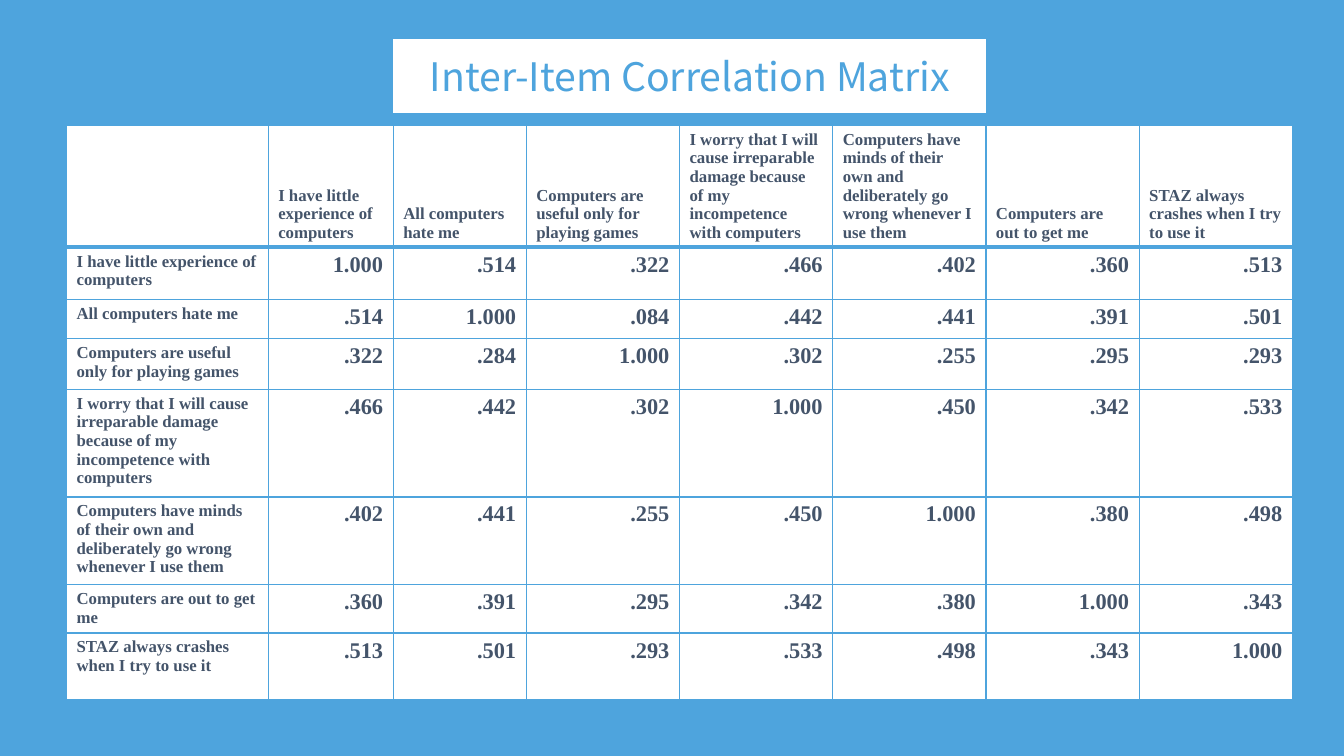
from lxml import etree
from pptx import Presentation, util as u
from pptx.dml.color import RGBColor
from pptx.enum import shapes, text
from pptx.oxml.ns import qn

BLUE = RGBColor(0x4E, 0xA4, 0xDD)
WHITE = RGBColor(0xFF, 0xFF, 0xFF)
SLATE = RGBColor(0x44, 0x54, 0x6A)
GREY = RGBColor(0xE8, 0xEA, 0xE9)

ITEMS = [
    "I have little experience of computers",
    "All computers hate me",
    "Computers are useful only for playing games",
    "I worry that I will cause irreparable damage because of my incompetence with computers",
    "Computers have minds of their own and deliberately go wrong whenever I use them",
    "Computers are out to get me",
    "STAZ always crashes when I try to use it",
]
CORRELATIONS = [
    "1.000 .514 .322 .466 .402 .360 .513",
    ".514 1.000 .084 .442 .441 .391 .501",
    ".322 .284 1.000 .302 .255 .295 .293",
    ".466 .442 .302 1.000 .450 .342 .533",
    ".402 .441 .255 .450 1.000 .380 .498",
    ".360 .391 .295 .342 .380 1.000 .343",
    ".513 .501 .293 .533 .498 .343 1.000",
]
COLS = [2, 1.24, 1.32] + [1.52] * 5
ROWS = [0.97, 0.52, 0.39, 0.5, 1.07, 0.87, 0.48, 0.66]


def set_border(cell, side, points):
    ln = etree.SubElement(cell._tc.get_or_add_tcPr(), qn("a:ln" + side), w=str(u.Pt(points)))
    fill = etree.SubElement(ln, qn("a:solidFill"))
    etree.SubElement(fill, qn("a:srgbClr"), val=str(BLUE))


prs = Presentation()
prs.slide_width, prs.slide_height = u.Inches(13.33), u.Inches(7.5)
s = prs.slides.add_slide(prs.slide_layouts[5])
s.background.fill.solid()
s.background.fill.fore_color.rgb = GREY

# Blue backdrop, behind everything
backdrop = s.shapes.add_shape(shapes.MSO_SHAPE.RECTANGLE, 0, 0, prs.slide_width, prs.slide_height)
backdrop.shadow.inherit = False
backdrop.fill.solid()
backdrop.fill.fore_color.rgb = BLUE
backdrop.line.fill.background()
title = s.shapes.title
title.element.addprevious(backdrop.element)

# Title
title.left, title.top, title.width, title.height = map(u.Inches, (3.89, 0.38, 5.9, 0.75))
title.fill.solid()
title.fill.fore_color.rgb = WHITE
title.line.color.rgb = BLUE
title.line.width = u.Pt(1.5)
tf = title.text_frame
tf.text = "Inter-Item Correlation Matrix"
tf.vertical_anchor = text.MSO_ANCHOR.MIDDLE
p = tf.paragraphs[0]
p.alignment = text.PP_ALIGN.CENTER
p.font.name, p.font.size = "Noto Sans CJK SC", u.Pt(28)
p.font.color.rgb = BLUE

# Correlation table
frame = s.shapes.add_table(len(ROWS), len(COLS), u.Inches(0.66), u.Inches(1.24),
                           u.Inches(sum(COLS)), u.Inches(sum(ROWS)))
table = frame.table
for column, width in zip(table.columns, COLS):
    column.width = u.Inches(width)
for row, height in zip(table.rows, ROWS):
    row.height = u.Inches(height)

grid = [[""] + ITEMS]
grid += [[item] + values.split() for item, values in zip(ITEMS, CORRELATIONS)]
for i, line in enumerate(grid):
    for j, entry in enumerate(line):
        cell = table.cell(i, j)
        is_value = i > 0 and j > 0
        for side in "LRTB":
            under_header = (i, side) in ((0, "B"), (1, "T"))
            set_border(cell, side, 3 if under_header else 1)
        cell.fill.solid()
        cell.fill.fore_color.rgb = WHITE
        cell.vertical_anchor = text.MSO_ANCHOR.BOTTOM if i == 0 else text.MSO_ANCHOR.TOP
        cell.text = entry
        p = cell.text_frame.paragraphs[0]
        p.alignment = text.PP_ALIGN.RIGHT if is_value else text.PP_ALIGN.LEFT
        p.font.name, p.font.bold = "Times New Roman", True
        p.font.size = u.Pt(16 if is_value else 12)
        p.font.color.rgb = SLATE

prs.save("out.pptx")
